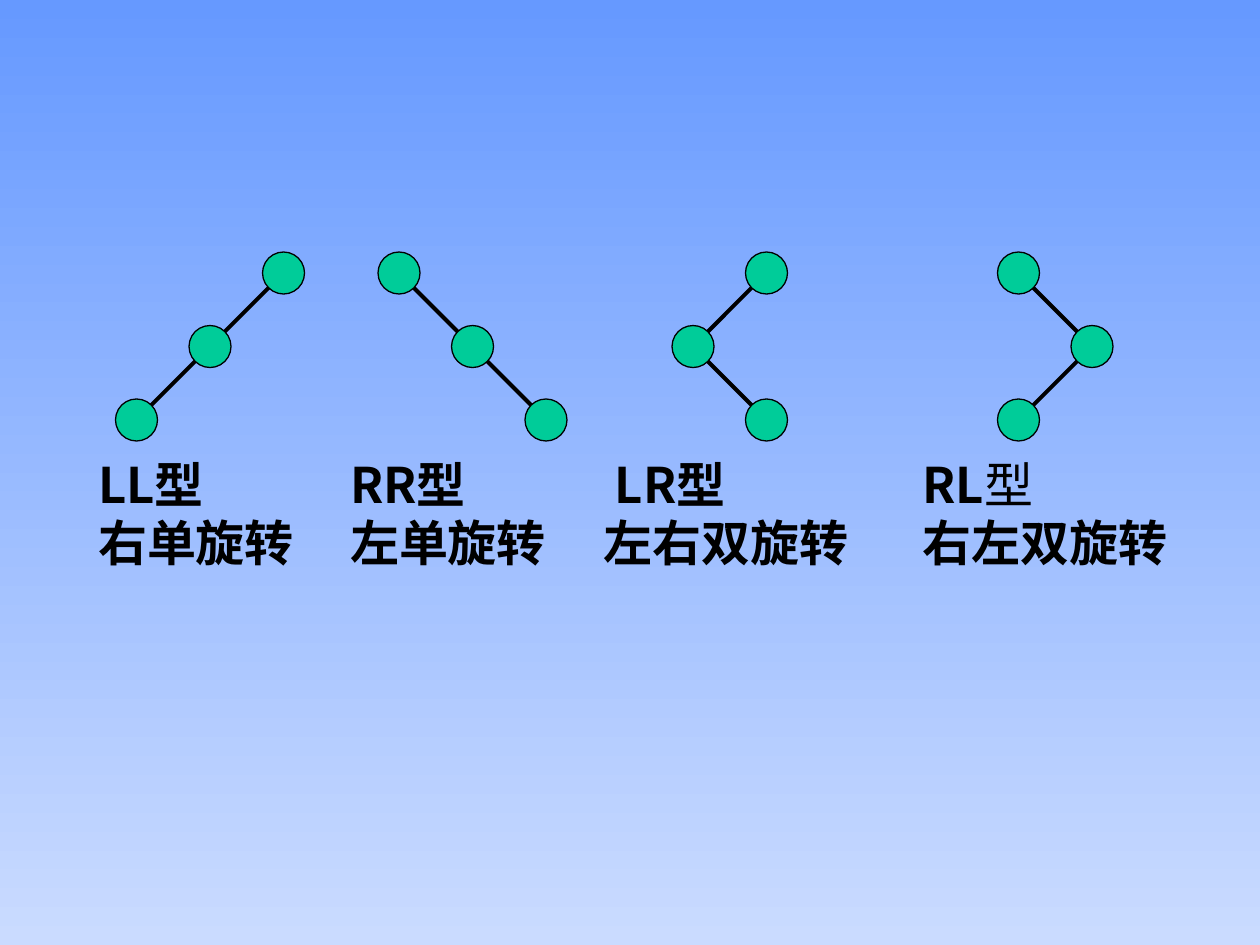
from dataclasses import dataclass
from typing import Any

from lxml.etree import SubElement
from pptx import Presentation
from pptx.dml.color import RGBColor as RGB
from pptx.enum.shapes import MSO_CONNECTOR as CONN, MSO_SHAPE as SHAPE
from pptx.enum.text import MSO_AUTO_SIZE as AUTO
from pptx.oxml.ns import qn
from pptx.util import Pt

COLORS = {"sky": "6699FF", "haze": "CADBFF", "node": "00CC99", "ink": "000000"}
FONT = "Noto Sans CJK SC"
NODE, STEP, TOP = 24, 42, 156  # node diameter, level spacing, root centre y

# root centre x, side of each child (-1 left, 1 right),
# label left, label width, label indent, kind, is 型 bold, rotation
ROTATIONS = [
    (162, (-1, -1), 49, 126, 0, "LL", True, "右单旋转"),
    (228, (1, 1), 193, 126, 0, "RR", True, "左单旋转"),
    (438, (-1, 1), 338, 154, 6.3, "LR", True, "左右双旋转"),
    (582, (1, -1), 520, 154, 0, "RL", False, "右左双旋转"),
]


def color(name):
    return RGB.from_string(COLORS[name])


@dataclass
class Painter:
    s: Any
    font: str = FONT
    size: float = 28

    def background(self, start, end):
        fill = self.s.background.fill
        fill.gradient()
        fill.gradient_angle = 270
        for stop, name in zip(fill.gradient_stops, (start, end)):
            stop.color.rgb = color(name)

    def edge(self, start, end):
        line = self.s.shapes.add_connector(CONN.STRAIGHT, *map(Pt, start + end))
        line.line.color.rgb = color("ink")
        line.line.width = Pt(2.25)
        SubElement(line._element.spPr, qn("a:effectLst"))

    def node(self, x, y):
        box = (x - NODE / 2, y - NODE / 2, NODE, NODE)
        sp = self.s.shapes.add_shape(SHAPE.OVAL, *map(Pt, box))
        sp.shadow.inherit = False
        sp.fill.solid()
        sp.fill.fore_color.rgb = color("node")
        sp.line.color.rgb = color("ink")
        sp.line.width = Pt(0.75)

    def label(self, x, y, w, h, lines, indent=0):
        """Each line is a list of (text, bold) runs; indent moves the first line."""
        tf = self.s.shapes.add_textbox(*map(Pt, (x, y, w, h))).text_frame
        tf.word_wrap = False
        tf.auto_size = AUTO.SHAPE_TO_FIT_TEXT
        for i, runs in enumerate(lines):
            p = tf.add_paragraph() if i else tf.paragraphs[0]
            p.line_spacing = Pt(33)
            if indent and i == 0:
                p._p.get_or_add_pPr().set("marL", str(Pt(indent)))
            for text, bold in runs:
                r = p.add_run()
                r.text = text
                style = {"name": self.font, "size": Pt(self.size), "bold": bold}
                for key, value in style.items():
                    setattr(r.font, key, value)
                r.font.color.rgb = color("ink")
                SubElement(r._r.get_or_add_rPr(), qn("a:ea"), typeface=self.font)

    def tree(self, x, sides):
        nodes = [(x, TOP)]
        for side in sides:
            px, py = nodes[-1]
            nodes.append((px + side * STEP, py + STEP))
        straight = sides[0] == sides[1]
        corners = nodes[::2] if straight else nodes
        for start, end in zip(corners, corners[1:]):
            self.edge(start, end)
        for center in nodes:
            self.node(*center)


def main():
    prs = Presentation()
    prs.slide_width, prs.slide_height = Pt(720), Pt(540)
    painter = Painter(prs.slides.add_slide(prs.slide_layouts[6]))
    painter.background("sky", "haze")
    for x, sides, left, width, indent, kind, bold, rotation in ROTATIONS:
        painter.tree(x, sides)
        heading = [(kind + "型", True)] if bold else [(kind, True), ("型", False)]
        painter.label(left, 257, width, 75, [heading, [(rotation, True)]], indent)
    prs.save("out.pptx")


if __name__ == "__main__":
    main()
